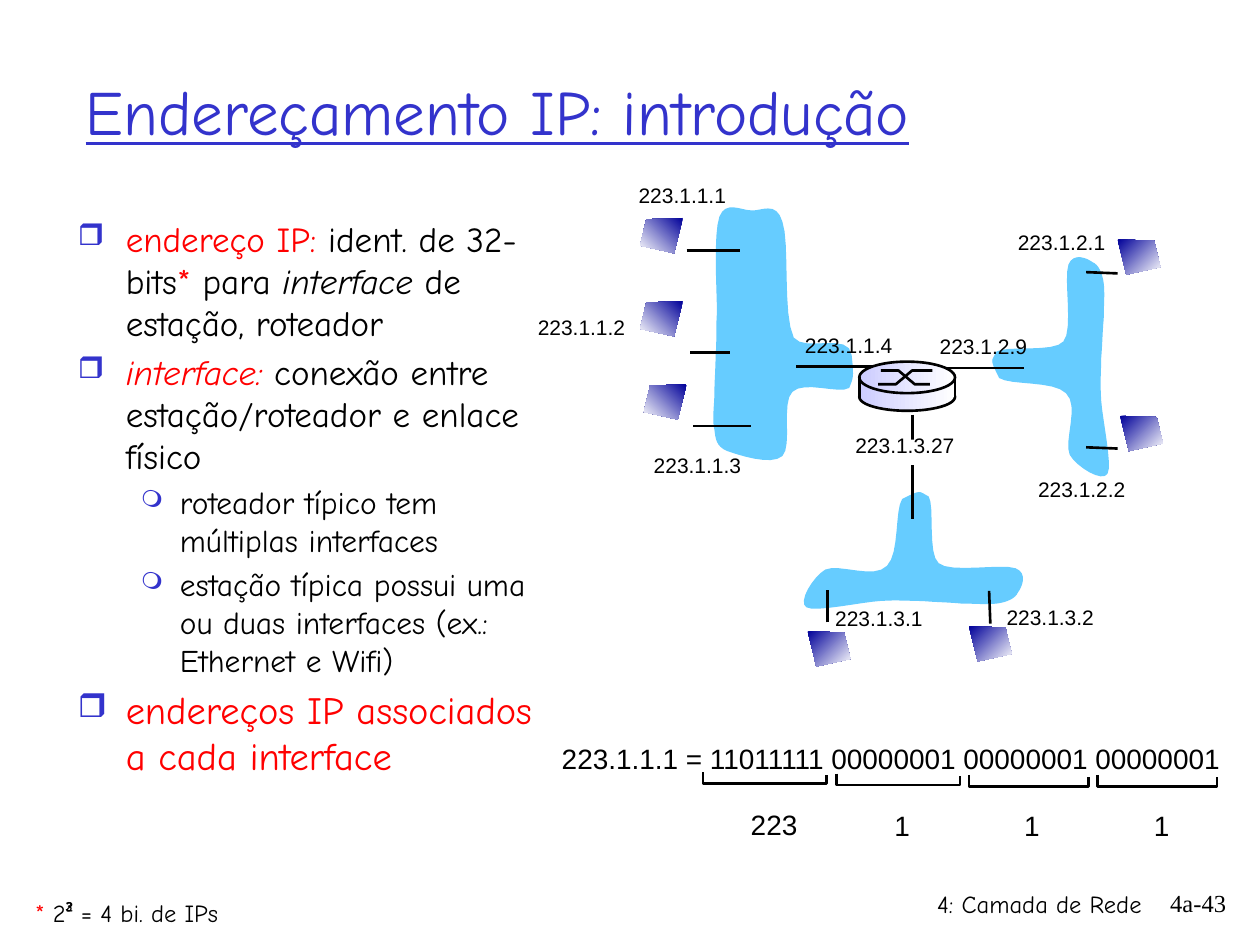
from lxml import etree
from pptx import Presentation
from pptx.dml.color import RGBColor
from pptx.enum.shapes import MSO_CONNECTOR as Link, MSO_SHAPE as Kind
from pptx.enum.text import MSO_ANCHOR as Anchor, PP_ALIGN as Align
from pptx.oxml.ns import qn
from pptx.util import Cm, Pt

BLUE, RED, BLACK, WHITE = "3333CC", "FF0000", "000000", "FFFFFF"
SKY, NAVY, PALE = "66CCFF", "000099", "CCCCFF"
COMIC, ARIAL, TIMES = "Comic Neue", "Arial", "Times New Roman"

# level, size, runs of (text, colour, italic)
BODY = [
    (0, 20, [("endereço IP: ", RED, False), ("ident. de 32-bits", BLACK, False),
             ("*", RED, False), (" para ", BLACK, False),
             ("interface", BLACK, True), (" de estação, roteador", BLACK, False)]),
    (0, 20, [("interface: ", RED, True),
             ("conexão entre estação/roteador e enlace físico", BLACK, False)]),
    (1, 18, [("roteador típico tem múltiplas interfaces", BLACK, False)]),
    (1, 18, [("estação típica possui uma ou duas interfaces (ex.: Ethernet e Wifi)",
              BLACK, False)]),
    (0, 22, [("endereços IP associados a cada interface", RED, False)]),
]
# bullet, bullet size %, left margin, hanging indent
LEVELS = [("❒", 85, 0.38, 0.38), ("❍", 75, 0.81, 0.31)]

# All places are in inches on the slide.
LABELS = [
    ("223.1.1.1", 4.97, 1.4), ("223.1.1.2", 4.17, 2.45), ("223.1.1.3", 5.09, 3.54),
    ("223.1.1.4", 6.29, 2.59), ("223.1.2.9", 7.36, 2.6), ("223.1.2.2", 8.14, 3.73),
    ("223.1.2.1", 7.98, 1.77), ("223.1.3.2", 7.89, 4.75), ("223.1.3.1", 6.53, 4.76),
    ("223.1.3.27", 6.69, 3.38),
]
MASKS = [(4.27, 2.54, 0.91, 0.2), (6.78, 3.49, 0.93, 0.2)]
WIRES = [
    (7.5, 2.92, 8.13, 2.92), (8.62, 2.16, 8.87, 2.17), (8.62, 3.55, 8.87, 3.56),
    (7.24, 3.29, 7.24, 4.12), (6.57, 4.94, 6.57, 4.68), (7.86, 4.95, 7.85, 4.69),
    (5.45, 1.99, 5.87, 1.99), (5.48, 2.8, 5.79, 2.8), (5.5, 3.38, 5.96, 3.38),
    (6.32, 2.91, 6.94, 2.91),
]
# Start point, then Bezier triples
LOW_NET = [
    (7.16, 3.96), (7.1, 4.05), (7.14, 4.39), (7.04, 4.49), (6.94, 4.6), (6.66, 4.47),
    (6.55, 4.52), (6.45, 4.58), (6.33, 4.78), (6.4, 4.82), (6.47, 4.86), (6.83, 4.78),
    (6.98, 4.77), (7.13, 4.76), (7.21, 4.77), (7.32, 4.77), (7.43, 4.78), (7.53, 4.78),
    (7.63, 4.79), (7.72, 4.79), (7.84, 4.8), (7.91, 4.79), (7.99, 4.78), (8.06, 4.75),
    (8.08, 4.7), (8.11, 4.66), (8.16, 4.55), (8.06, 4.51), (7.95, 4.47), (7.54, 4.55),
    (7.45, 4.47), (7.36, 4.4), (7.42, 4.01), (7.37, 3.94), (7.29, 3.9), (7.32, 3.88),
    (7.16, 3.96),
]
LEFT_NET = [
    (6.76, 2.82), (6.74, 2.63), (6.39, 2.8), (6.3, 2.68), (6.21, 2.5), (6.27, 1.92),
    (6.21, 1.76), (6.16, 1.59), (6.04, 1.68), (5.96, 1.67), (5.88, 1.67), (5.76, 1.59),
    (5.71, 1.72), (5.66, 1.86), (5.69, 2.3), (5.69, 2.48), (5.68, 2.66), (5.69, 2.71),
    (5.68, 2.81), (5.68, 2.92), (5.67, 3.03), (5.67, 3.12), (5.67, 3.22), (5.65, 3.33),
    (5.67, 3.41), (5.68, 3.48), (5.68, 3.54), (5.77, 3.58), (5.86, 3.61), (6.12, 3.7),
    (6.21, 3.62), (6.29, 3.54), (6.2, 3.19), (6.29, 3.11), (6.38, 3.02), (6.66, 3.13),
    (6.74, 3.08), (6.77, 3), (6.78, 3.01), (6.76, 2.82),
]
# The right network is the lower one turned a quarter to the left.
RIGHT_NET = [(8.34 + y - 4.37, 2.92 - x + 7.24) for x, y in LOW_NET]

HOST = [(0, 0), (0.29, 0.01), (0.34, 0.22), (0.07, 0.28)]
HOSTS = [(5.08, 1.73, True), (5.08, 2.39, True), (5.11, 3.05, True),
         (8.87, 1.9, False), (8.89, 3.3, False), (7.69, 4.97, False),
         (6.41, 5.01, False)]  # left, top, mirrored

BINARY = "223.1.1.1 = 11011111 00000001 00000001 00000001"
# bracket left, top, width; value, its left and top
OCTETS = [(5.58, 6.13, 0.98, "223", 5.86, 6.36), (6.64, 6.14, 0.98, "1", 7, 6.37),
          (7.69, 6.15, 0.95, "1", 8.03, 6.37), (8.71, 6.15, 0.95, "1", 9.06, 6.37)]


def inch(v):
    return Cm(v * 2.54)


def rgb(code):
    return RGBColor.from_string(code)


def style(run, size, face, color=BLACK, italic=False):
    font = run.font
    font.size, font.name, font.italic = Pt(size), face, italic
    font.color.rgb = rgb(color)


def paint(shape, fill=None, line=None, angle=0):
    """Fill with nothing, one colour, or a pair of colours as a gradient."""
    shape.shadow.inherit = False
    if fill is None:
        shape.fill.background()
    elif isinstance(fill, tuple):
        shape.fill.gradient()
        shape.fill.gradient_angle = angle
        for stop, color in zip(shape.fill.gradient_stops, fill):
            stop.color.rgb = rgb(color)
    else:
        shape.fill.solid()
        shape.fill.fore_color.rgb = rgb(fill)
    if line:
        shape.line.color.rgb = rgb(line)
        shape.line.width = Pt(1.5)
    else:
        shape.line.fill.background()


def write(box, text, size, face, align=Align.LEFT, wrap=False):
    frame = slide.shapes.add_textbox(*map(inch, box)).text_frame
    frame.word_wrap = wrap
    par = frame.paragraphs[0]
    par.text, par.alignment = text, align
    for run in par.runs:
        style(run, size, face)
    return frame


def shape(kind, box, fill, line=None):
    paint(slide.shapes.add_shape(kind, *map(inch, box)), fill, line)


def path(dots, fill=None, line=None, angle=0):
    dots = [(inch(x), inch(y)) for x, y in dots]
    form = slide.shapes.build_freeform(*dots[0], scale=1.0)
    form.add_line_segments(dots[1:], close=fill is not None)
    paint(form.convert_to_shape(), fill, line, angle)


def curve(dots, steps=8):
    """Points along a chain of cubic Bezier curves."""
    out = [dots[0]]
    for i in range(0, len(dots) - 1, 3):
        for n in range(1, steps + 1):
            t = n / steps
            mix = ((1 - t) ** 3, 3 * t * (1 - t) ** 2, 3 * t * t * (1 - t), t ** 3)
            out.append(tuple(sum(m * p[k] for m, p in zip(mix, dots[i:i + 4]))
                             for k in (0, 1)))
    return out


def wire(*ends):
    link = slide.shapes.add_connector(Link.STRAIGHT, *map(inch, ends))
    link.line.color.rgb = rgb(BLACK)
    link.line.width = Pt(1.5)
    etree.SubElement(link._element.spPr, qn("a:effectLst"))


def bullet(par, level):
    mark, size, left, hang = LEVELS[level]
    props = par._p.get_or_add_pPr()
    props.set("marL", str(inch(left)))
    props.set("indent", str(-inch(hang)))
    tint = etree.SubElement(props, qn("a:buClr"))
    etree.SubElement(tint, qn("a:srgbClr")).set("val", BLUE)
    etree.SubElement(props, qn("a:buSzPct")).set("val", str(size * 1000))
    etree.SubElement(props, qn("a:buChar")).set("char", mark)


deck = Presentation()
deck.slide_width, deck.slide_height = inch(10), inch(7.5)
slide = deck.slides.add_slide(deck.slide_layouts[5])

title = slide.shapes.title
title.left, title.top, title.width, title.height = map(inch, (0.58, 0.25, 8.5, 1.25))
title.text_frame.text = "Endereçamento IP: introdução"
title.text_frame.vertical_anchor = Anchor.MIDDLE
head = title.text_frame.paragraphs[0]
head.alignment = Align.LEFT
style(head.runs[0], 36, COMIC, BLUE)
head.runs[0].font.underline = True

body = write((0.52, 1.68, 3.94, 5.08), "", 20, COMIC, wrap=True)
for i, (level, size, runs) in enumerate(BODY):
    par = body.add_paragraph() if i else body.paragraphs[0]
    par.level = level
    bullet(par, level)
    if i:
        par.space_before = Pt(size * 0.2)
    for text, color, italic in runs:
        run = par.add_run()
        run.text = text
        style(run, size, COMIC, color, italic)

for net in (LOW_NET, RIGHT_NET, LEFT_NET):
    path(curve(net), SKY)
for ends in WIRES:
    wire(*ends)
for box in MASKS:
    shape(Kind.RECTANGLE, box, WHITE)
for text, x, y in LABELS:
    write((x, y, 0.1 * len(text), 0.3), text, 12, ARIAL)
for x, y, flip in HOSTS:
    path([(x + (0.34 - a if flip else a), y + b) for a, b in HOST],
         (NAVY, WHITE), angle=225 if flip else 315)

# Router
METAL = (PALE, WHITE)
shape(Kind.OVAL, (6.82, 3.04, 0.76, 0.22), METAL, BLACK)
shape(Kind.RECTANGLE, (6.82, 3.02, 0.76, 0.13), METAL)
shape(Kind.OVAL, (6.82, 2.87, 0.76, 0.25), METAL, BLACK)
path([(6.97, 3.05), (7.11, 3.05), (7.24, 2.94), (7.4, 2.94)], line=BLACK)
path([(6.99, 2.94), (7.13, 2.94), (7.26, 3.05), (7.38, 3.05)], line=BLACK)
for x in (6.82, 7.58):
    wire(x, 2.99, x, 3.16)

write((4.36, 5.84, 5.52, 0.37), BINARY, 16, ARIAL)
for x, y, w, text, left, top in OCTETS:
    path([(x, y), (x, y + 0.09), (x + w, y + 0.09), (x + w, y + 0.02)], line=BLACK)
    write((left, top, 0.2 + 0.13 * len(text), 0.37), text, 16, ARIAL)

write((5.99, 7.01, 3.17, 0.5), "4: Camada de Rede", 14, COMIC, Align.RIGHT, True)
write((8.93, 7, 0.9, 0.5), "4a-43", 14, TIMES, Align.RIGHT, True)
note = write((0.18, 7.08, 3.17, 0.38), "", 14, COMIC, wrap=True).paragraphs[0]
for text, color, gap in (("* ", RED, 0), ("2", BLACK, 0), ("³²", BLACK, -3),
                         (" = 4 bi. de IPs", BLACK, 0)):
    run = note.add_run()
    run.text = text
    style(run, 14, COMIC, color)
    run._r.get_or_add_rPr().set("spc", str(gap * 100))

deck.save("out.pptx")
